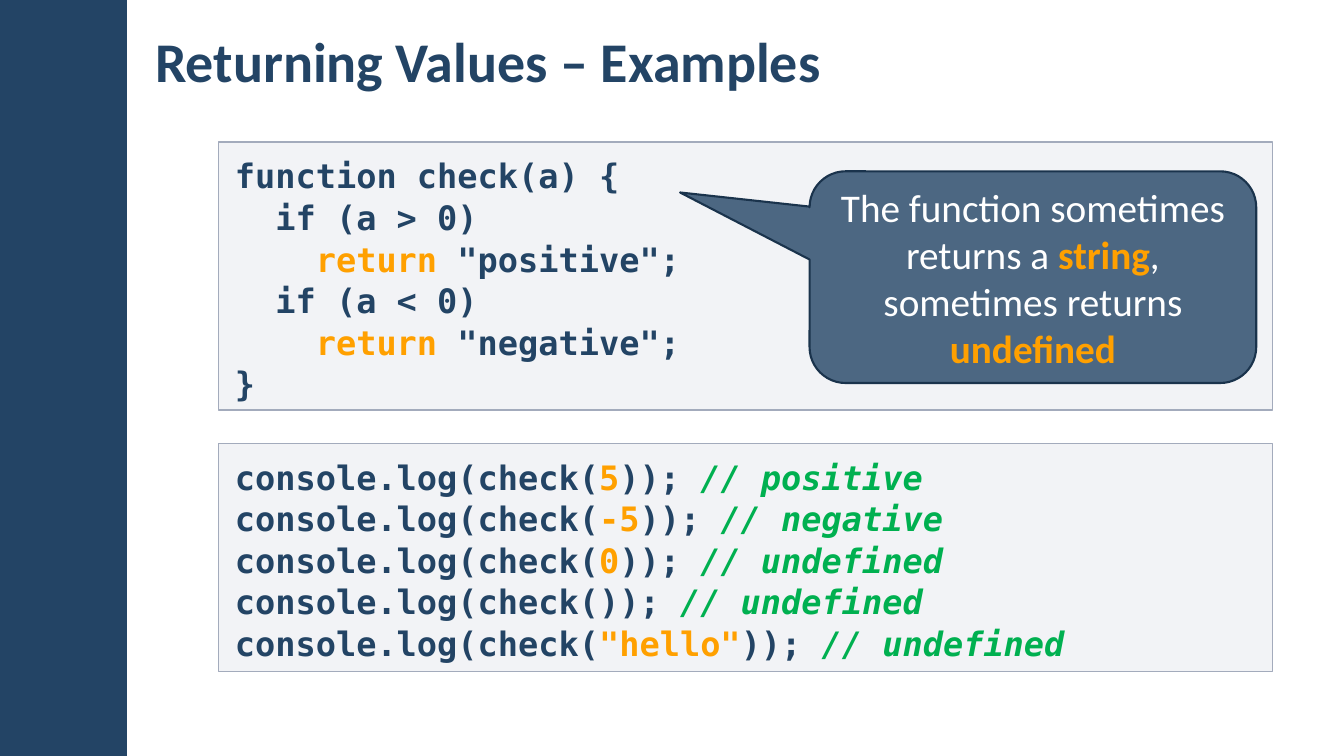
"""Builds the slide "Returning Values – Examples" with two code boxes and a callout."""
from lxml.etree import SubElement
from pptx import Presentation
from pptx.dml.color import RGBColor
from pptx.enum.shapes import MSO_SHAPE as SHAPE
from pptx.enum.text import MSO_ANCHOR as ANCHOR, MSO_AUTO_SIZE as AUTO_SIZE, PP_ALIGN as ALIGN
from pptx.oxml.ns import qn
from pptx.util import Pt

PX = 9144
NAVY = RGBColor(0x23, 0x44, 0x65)
DARK_NAVY = RGBColor(0x1A, 0x33, 0x4C)
GREY = RGBColor(0xC2, 0xC7, 0xD2)
BORDER = RGBColor(0xA3, 0xAB, 0xBC)
ORANGE = RGBColor(0xFF, 0xA0, 0x00)
GREEN = RGBColor(0x00, 0xB0, 0x50)
WHITE = RGBColor(0xFF, 0xFF, 0xFF)
TEXT_FONT = "Calibri"
CODE_FONT = "DejaVu Sans Mono"


def add_box(kind, box, fill, opacity=100, border=None, border_width=1):
    """Add a preset shape with a flat fill and an optional border."""
    shape = slide.shapes.add_shape(kind, *(n * PX for n in box))
    shape.shadow.inherit = False
    shape.fill.solid()
    shape.fill.fore_color.rgb = fill
    if border is None:
        shape.line.fill.background()
    else:
        shape.line.color.rgb = border
        shape.line.width = Pt(border_width)
    if opacity < 100:
        color = shape.fill._xPr.find(qn("a:solidFill"))[0]
        SubElement(color, qn("a:alpha"), val=str(opacity * 1000))
    return shape


def add_run(paragraph, text, font, size, color, bold=False, italic=False):
    """Append one formatted run."""
    run = paragraph.add_run()
    run.text = text
    run.font.name, run.font.size = font, Pt(size)
    run.font.bold, run.font.italic = bold, italic
    run.font.color.rgb = color


prs = Presentation()
prs.slide_width, prs.slide_height = 1333 * PX, 750 * PX
slide = prs.slides.add_slide(prs.slide_layouts[5])

add_box(SHAPE.RECTANGLE, (0, 0, 126, 750), NAVY)

title = slide.shapes.title
title.left, title.top, title.width, title.height = (n * PX for n in (142, 11, 919, 97))
title_frame = title.text_frame
title_frame.auto_size = AUTO_SIZE.NONE
title_frame.vertical_anchor = ANCHOR.MIDDLE
title_frame.margin_left = title_frame.margin_right = 12 * PX
title_frame.margin_top = title_frame.margin_bottom = 4 * PX
title_line = title_frame.paragraphs[0]
title_line.alignment = ALIGN.LEFT
add_run(title_line, "Returning Values – Examples", TEXT_FONT, 40, NAVY, bold=True)

function_lines = [[("function check(a) {", NAVY)]]
for sign, word in ((">", "positive"), ("<", "negative")):
    function_lines += [
        [(f"  if (a {sign} 0)", NAVY)],
        [("    ", NAVY), ("return", ORANGE), (f' "{word}";', NAVY)],
    ]
function_lines.append([("}", NAVY)])

calls = [("5", "positive"), ("-5", "negative"), ("0", "undefined"),
         ("", "undefined"), ('"hello"', "undefined")]
call_lines = [
    [("console.log(check(", NAVY), (argument, ORANGE), (")); ", NAVY), (f"// {result}", GREEN)]
    for argument, result in calls
]

for top, height, code_lines in ((141, 266, function_lines), (440, 226, call_lines)):
    code_box = add_box(SHAPE.RECTANGLE, (217, top, 1045, height), GREY, 20, BORDER)
    code = code_box.text_frame
    code.word_wrap = True
    code.vertical_anchor = ANCHOR.TOP
    code.margin_left = code.margin_right = 16 * PX
    code.margin_top = code.margin_bottom = 12 * PX
    for index, parts in enumerate(code_lines):
        line = code.add_paragraph() if index else code.paragraphs[0]
        line.alignment = ALIGN.LEFT
        line.line_spacing = 1.03
        for text, color in parts:
            if text:
                add_run(line, text, CODE_FONT, 24, color, bold=True, italic=color == GREEN)

callout = add_box(SHAPE.ROUNDED_RECTANGULAR_CALLOUT, (803, 170, 443, 210), NAVY, 80, DARK_NAVY, 1.5)
for index, adjustment in enumerate((-0.79, -0.4, 0.17)):
    callout.adjustments[index] = adjustment
remark = callout.text_frame
remark.word_wrap = True
remark.vertical_anchor = ANCHOR.MIDDLE
remark.paragraphs[0].alignment = ALIGN.CENTER
for text, color in (("The function sometimes returns a ", WHITE), ("string", ORANGE),
                    (", sometimes returns ", WHITE), ("undefined", ORANGE)):
    add_run(remark.paragraphs[0], text, TEXT_FONT, 28, color, bold=color == ORANGE)

prs.save("out.pptx")
